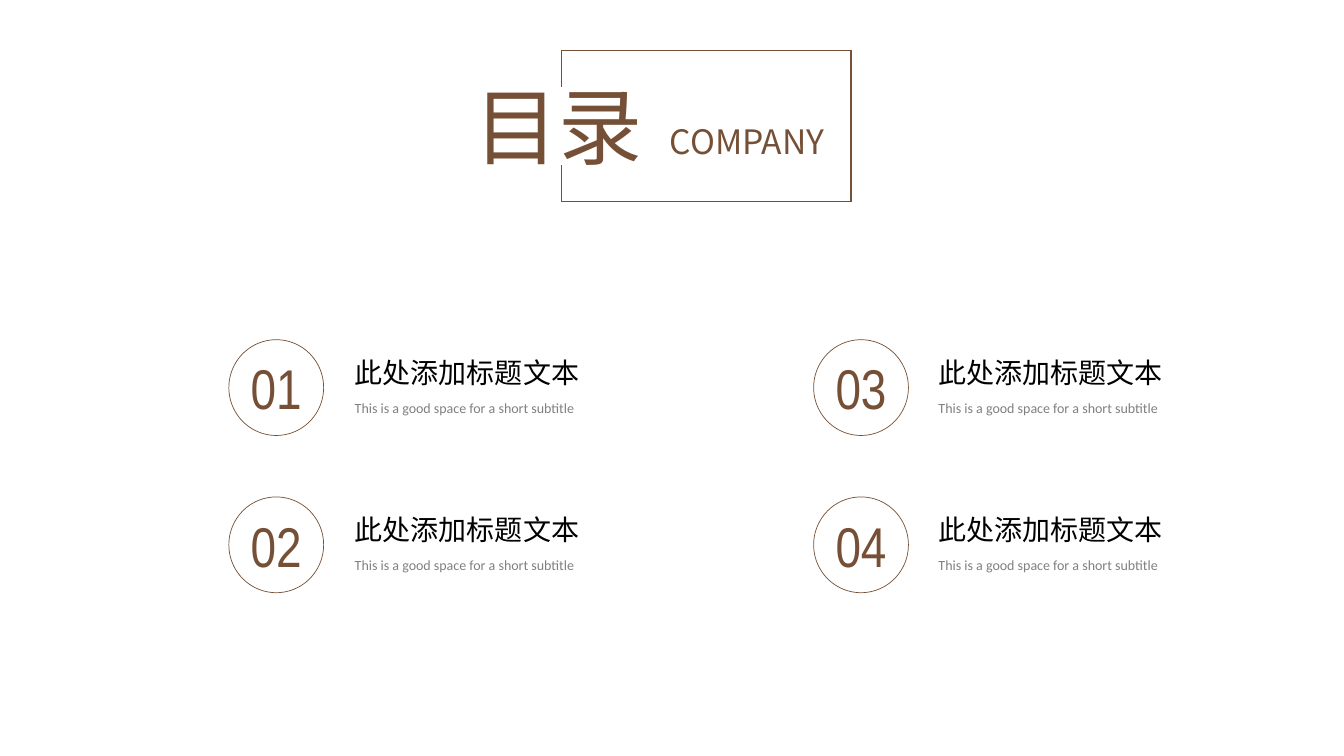
from dataclasses import dataclass

from lxml.etree import SubElement
from pptx import Presentation
from pptx.dml.color import RGBColor
from pptx.enum.shapes import MSO_CONNECTOR, MSO_SHAPE
from pptx.enum.text import MSO_ANCHOR, MSO_AUTO_SIZE, PP_ALIGN
from pptx.oxml.ns import qn
from pptx.slide import Slide
from pptx.text.text import TextFrame
from pptx.util import Emu, Pt

BROWN = RGBColor(0x76, 0x50, 0x36)
GRAY = RGBColor(0x80, 0x80, 0x80)
BLACK = RGBColor(0x00, 0x00, 0x00)
CJK_FONT = "Noto Sans CJK SC"
PX = 9144  # 100 px to the inch


@dataclass(frozen=True)
class Box:
    left: int
    top: int
    width: int
    height: int

    def emu(self) -> tuple[Emu, Emu, Emu, Emu]:
        return px(self.left), px(self.top), px(self.width), px(self.height)


@dataclass(frozen=True)
class Style:
    size: int
    color: RGBColor
    font: str = CJK_FONT
    align: PP_ALIGN = PP_ALIGN.LEFT


@dataclass(frozen=True)
class Entry:
    number: str
    column: int
    row: int
    title: str = "此处添加标题文本"
    subtitle: str = "This is a good space for a short subtitle"


HEADING = Style(60, BROWN, align=PP_ALIGN.CENTER)
COMPANY = Style(24, BROWN, align=PP_ALIGN.CENTER)
NUMBER = Style(40, BROWN, "Arial Narrow", PP_ALIGN.CENTER)
TITLE = Style(20, BLACK)
SUBTITLE = Style(10, GRAY, "Calibri")

ENTRIES = [Entry("01", 0, 0), Entry("02", 0, 1), Entry("03", 1, 0), Entry("04", 1, 1)]
GRID_LEFT, GRID_TOP = 227, 337
COLUMN_STEP, ROW_STEP = 580, 156
TEXT_OFFSETS = (115, 114)  # from circle to text, by column

# Frame round the heading, open on the left where the heading crosses it
FRAME_LEFT, FRAME_TOP, FRAME_RIGHT, FRAME_BOTTOM = 557, 50, 844, 200
GAP_TOP, GAP_BOTTOM = 86, 164
FRAME_CORNERS = [
    (FRAME_LEFT, GAP_TOP),
    (FRAME_LEFT, FRAME_TOP),
    (FRAME_RIGHT, FRAME_TOP),
    (FRAME_RIGHT, FRAME_BOTTOM),
    (FRAME_LEFT, FRAME_BOTTOM),
    (FRAME_LEFT, GAP_BOTTOM),
]


def px(value: int) -> Emu:
    return Emu(value * PX)


def write(frame: TextFrame, text: str, style: Style) -> None:
    paragraph = frame.paragraphs[0]
    paragraph.text = text
    paragraph.alignment = style.align
    font = paragraph.font
    font.size = Pt(style.size)
    font.color.rgb = style.color
    font.name = style.font
    # East Asian glyphs take their own typeface
    defaults = paragraph._p.pPr.find(qn("a:defRPr"))
    SubElement(defaults, qn("a:ea")).set("typeface", style.font)


def add_text(slide: Slide, box: Box, text: str, style: Style, wrap: bool = False) -> None:
    frame = slide.shapes.add_textbox(*box.emu()).text_frame
    frame.word_wrap = wrap
    frame.auto_size = MSO_AUTO_SIZE.SHAPE_TO_FIT_TEXT
    write(frame, text, style)


def add_circle(slide: Slide, box: Box, number: str) -> None:
    circle = slide.shapes.add_shape(MSO_SHAPE.OVAL, *box.emu())
    circle.shadow.inherit = False
    circle.fill.background()
    circle.line.color.rgb = BROWN
    circle.line.width = Pt(0.5)
    frame = circle.text_frame
    frame.margin_left = frame.margin_top = frame.margin_right = frame.margin_bottom = 0
    frame.vertical_anchor = MSO_ANCHOR.MIDDLE
    frame.word_wrap = False
    write(frame, number, NUMBER)


def add_line(slide: Slide, start: tuple[int, int], end: tuple[int, int]) -> None:
    line = slide.shapes.add_connector(
        MSO_CONNECTOR.STRAIGHT, px(start[0]), px(start[1]), px(end[0]), px(end[1])
    )
    line.line.color.rgb = BROWN
    line.line.width = Pt(1)
    SubElement(line._element.spPr, qn("a:effectLst"))


def add_entry(slide: Slide, entry: Entry) -> None:
    left = GRID_LEFT + entry.column * COLUMN_STEP
    top = GRID_TOP + entry.row * ROW_STEP
    text_left = left + TEXT_OFFSETS[entry.column]
    add_text(slide, Box(text_left, top + 11, 245, 44), entry.title, TITLE)
    add_text(slide, Box(text_left, top + 54, 256, 27), entry.subtitle, SUBTITLE)
    add_circle(slide, Box(left, top, 94, 95), entry.number)


def main() -> None:
    presentation = Presentation()
    presentation.slide_width, presentation.slide_height = px(1333), px(750)
    slide = presentation.slides.add_slide(presentation.slide_layouts[6])

    # Contents entries
    for entry in ENTRIES:
        add_entry(slide, entry)

    # Heading with its frame
    add_text(slide, Box(441, 69, 226, 111), "目录", HEADING, wrap=True)
    for start, end in zip(FRAME_CORNERS, FRAME_CORNERS[1:]):
        add_line(slide, start, end)
    add_text(slide, Box(646, 115, 190, 50), "COMPANY", COMPANY)

    presentation.save("out.pptx")


if __name__ == "__main__":
    main()
